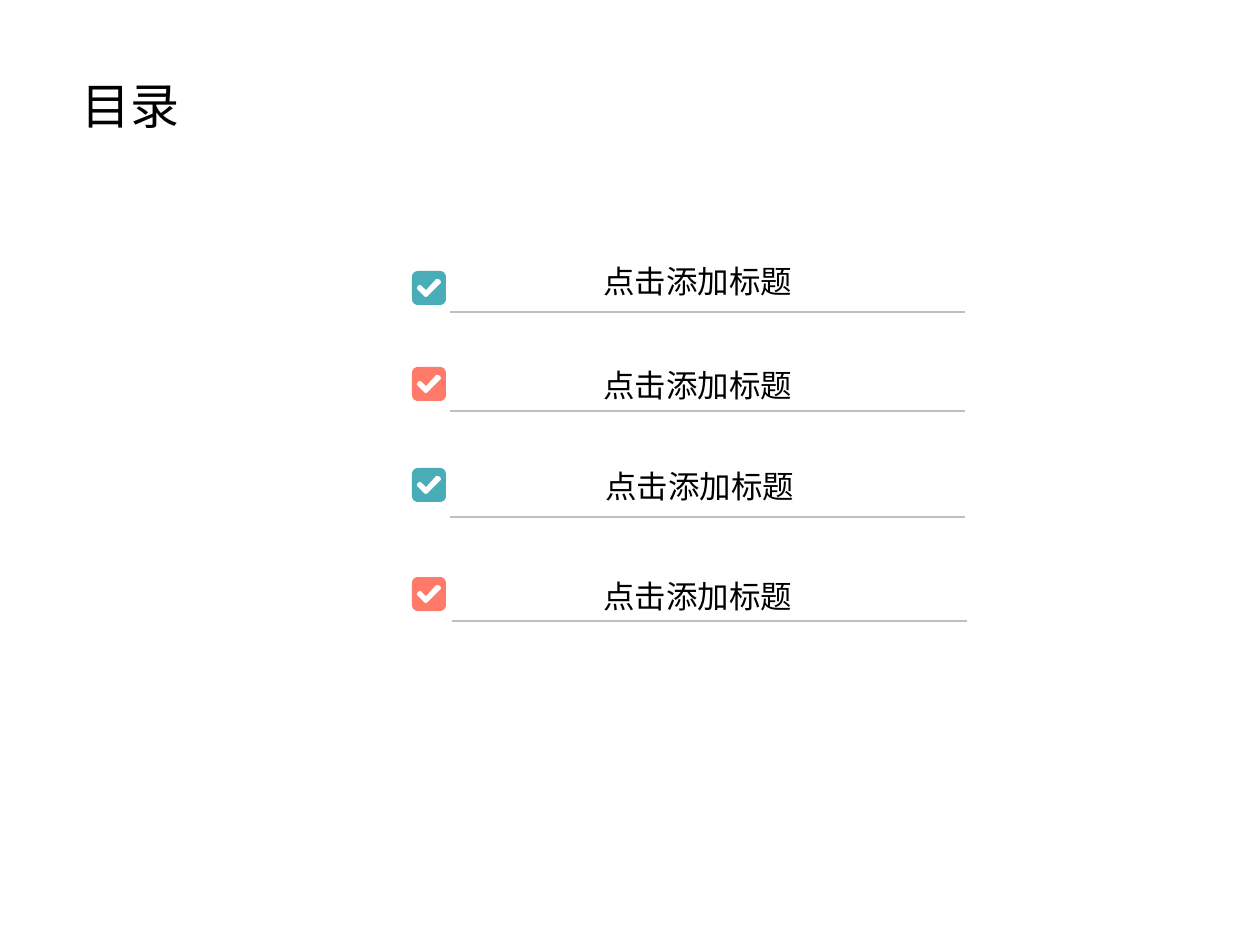
from math import cos, pi, sin

from lxml import etree
from pptx import Presentation
from pptx.dml.color import RGBColor
from pptx.enum.shapes import MSO_CONNECTOR
from pptx.enum.text import MSO_AUTO_SIZE
from pptx.oxml.ns import qn
from pptx.util import Pt

STRAIGHT = MSO_CONNECTOR.STRAIGHT
FIT_SHAPE = MSO_AUTO_SIZE.SHAPE_TO_FIT_TEXT

TITLE = {"text": "目录", "left": 69, "top": 69, "width": 137, "height": 72}
ENTRIES = [
    {"text": "点击添加标题", "left": 591, "top": 256, "check": 271, "rule": (450, 312), "color": "teal"},
    {"text": "点击添加标题", "left": 591, "top": 360, "check": 367, "rule": (450, 411), "color": "coral"},
    {"text": "点击添加标题", "left": 593, "top": 461, "check": 468, "rule": (450, 517), "color": "teal"},
    {"text": "点击添加标题", "left": 591, "top": 571, "check": 577, "rule": (452, 621), "color": "coral"},
]
LABEL_WIDTH, LABEL_HEIGHT = 214, 50
RULE_WIDTH = 515
CHECK_LEFT, CHECK_SIZE, CHECK_RADIUS = 412, 34, 6
TICK = [(29, 12), (29, 10), (27, 8), (24, 8), (14, 19), (9, 14), (7, 14),
        (5, 16), (5, 18), (13, 26), (15, 26)]

THEME = {
    "font": "Noto Sans CJK SC",
    "title_size": 28,
    "label_size": 18,
    "text": RGBColor.from_string("000000"),
    "teal": RGBColor.from_string("48ADB7"),
    "coral": RGBColor.from_string("FF7A69"),
    "rule": RGBColor.from_string("BFBFBF"),
    "rule_width": 0.75,
}


def px(length):
    return round(length * 914400 / 126)


def add_text(slide, text, left, top, width, height, size, wrap):
    box = slide.shapes.add_textbox(px(left), px(top), px(width), px(height))
    frame = box.text_frame
    frame.word_wrap = wrap
    frame.auto_size = FIT_SHAPE
    para = frame.paragraphs[0]
    para.text = text
    para.font.size = Pt(size)
    para.font.color.rgb = THEME["text"]
    para.font.name = THEME["font"]
    latin = para._p.pPr.find(".//" + qn("a:latin"))
    latin.addnext(etree.Element(qn("a:ea"), typeface=THEME["font"]))


def rounded_square(size, radius, steps=6):
    near, far = radius, size - radius
    centers = [(far, far), (near, far), (near, near), (far, near)]
    return [
        (x + radius * cos(angle), y + radius * sin(angle))
        for corner, (x, y) in enumerate(centers)
        for angle in ((corner + step / steps) * pi / 2 for step in range(steps + 1))
    ]


def add_checkbox(slide, left, top, color):
    outline, tick = (
        [(px(left + x), px(top + y)) for x, y in points]
        for points in (rounded_square(CHECK_SIZE, CHECK_RADIUS), TICK)
    )
    builder = slide.shapes.build_freeform(*outline[0])
    builder.add_line_segments(outline[1:])
    builder.move_to(*tick[0])
    builder.add_line_segments(tick[1:])
    checkbox = builder.convert_to_shape()
    checkbox.shadow.inherit = False
    checkbox.fill.solid()
    checkbox.fill.fore_color.rgb = color
    checkbox.line.fill.background()


def add_rule(slide, left, top):
    rule = slide.shapes.add_connector(STRAIGHT, px(left), px(top), px(left + RULE_WIDTH), px(top))
    rule.line.color.rgb = THEME["rule"]
    rule.line.width = Pt(THEME["rule_width"])
    etree.SubElement(rule._element.spPr, qn("a:effectLst"))


def main():
    deck = Presentation()
    deck.slide_width, deck.slide_height = px(1260), px(945)
    slide = deck.slides.add_slide(deck.slide_layouts[6])
    add_text(slide, **TITLE, size=THEME["title_size"], wrap=True)
    for entry in ENTRIES:
        add_text(slide, entry["text"], entry["left"], entry["top"], LABEL_WIDTH, LABEL_HEIGHT,
                 THEME["label_size"], wrap=False)
        add_checkbox(slide, CHECK_LEFT, entry["check"], THEME[entry["color"]])
        add_rule(slide, *entry["rule"])
    deck.save("out.pptx")


if __name__ == "__main__":
    main()
